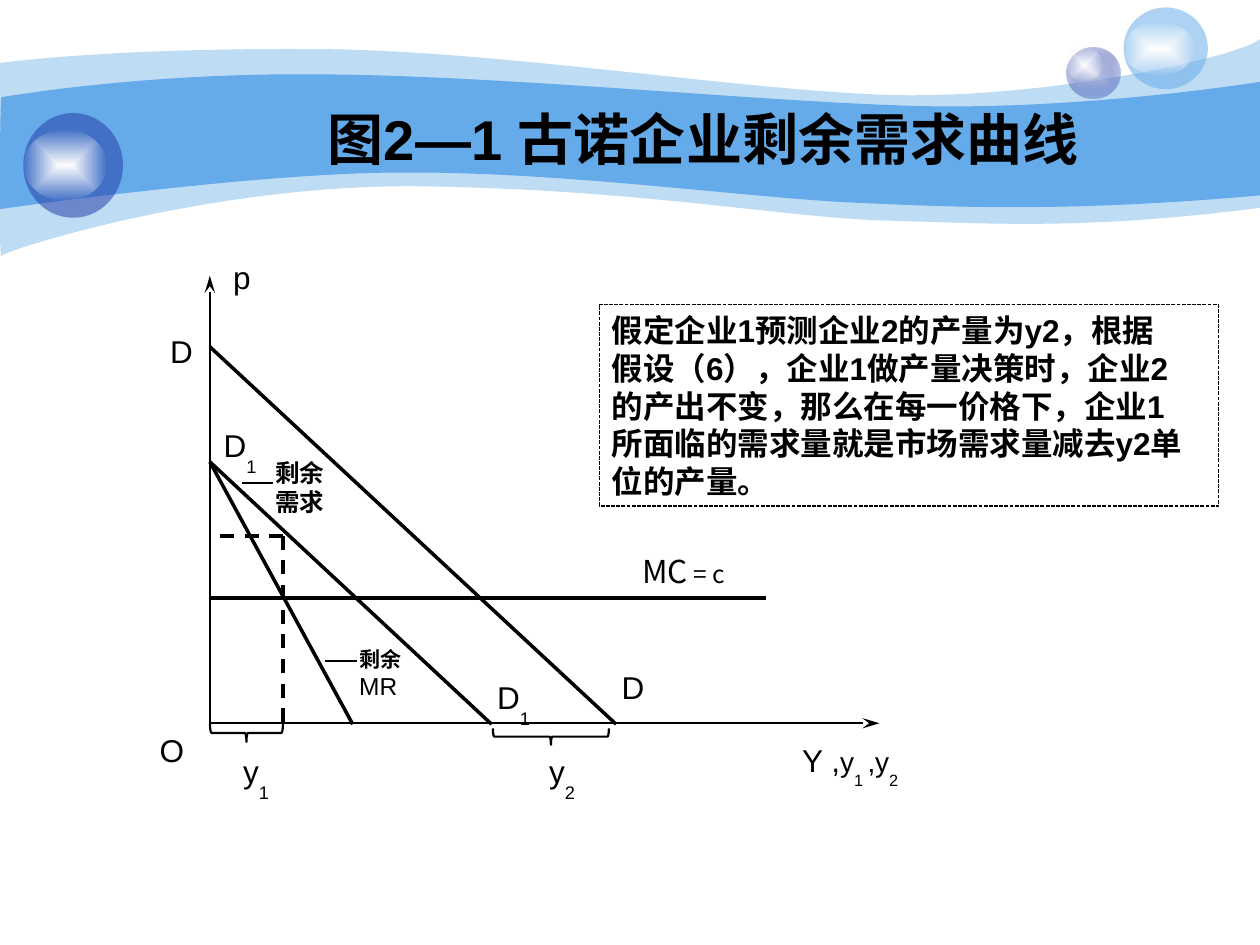
from lxml import etree
from pptx import Presentation
from pptx.dml.color import RGBColor
from pptx.enum.dml import MSO_LINE
from pptx.enum.shapes import MSO_CONNECTOR, MSO_SHAPE
from pptx.enum.text import MSO_ANCHOR, MSO_AUTO_SIZE, PP_ALIGN
from pptx.oxml import parse_xml
from pptx.oxml.ns import nsdecls, qn
from pptx.util import Cm, Pt

STRAIGHT = MSO_CONNECTOR.STRAIGHT
OVAL, RECTANGLE = MSO_SHAPE.OVAL, MSO_SHAPE.RECTANGLE
LEFT_BRACE, RIGHT_BRACE = MSO_SHAPE.LEFT_BRACE, MSO_SHAPE.RIGHT_BRACE
DASH, SYS_DASH = MSO_LINE.DASH, MSO_LINE.SQUARE_DOT
GROW, TOP, LEFT = MSO_AUTO_SIZE.SHAPE_TO_FIT_TEXT, MSO_ANCHOR.TOP, PP_ALIGN.LEFT

BLACK, WHITE, SKY, NAVY = "000000", "FFFFFF", "65AAE9", "233DA9"
LATIN, CHINESE = "Arial", "Noto Sans CJK SC"


def paint(shape, *stops):
    """Fill with one colour or a centred gradient; a stop is (hex, opacity %)."""
    colours = [f'<a:srgbClr val="{colour}"><a:alpha val="{opacity * 1000}"/></a:srgbClr>'
               for colour, opacity in stops]
    if len(colours) == 1:
        xml = f'<a:solidFill {nsdecls("a")}>{colours[0]}</a:solidFill>'
    else:
        inner = "".join(f'<a:gs pos="{place * 100000}">{colour}</a:gs>'
                        for place, colour in enumerate(colours))
        xml = (f'<a:gradFill {nsdecls("a")} rotWithShape="1"><a:gsLst>{inner}</a:gsLst>'
               '<a:path path="rect"><a:fillToRect l="50000" t="50000" r="50000" b="50000"/>'
               '</a:path></a:gradFill>')
    shape.fill.background()
    properties = shape.element.spPr
    properties.replace(properties.find(qn("a:noFill")), parse_xml(xml))
    shape.line.fill.background()
    shape.shadow.inherit = False


def write(shape, paragraphs, wrap=False, spacing=None):
    """Write paragraphs of runs; a run is (text, size, extra format)."""
    frame = shape.text_frame
    frame_format = {"word_wrap": wrap, "auto_size": GROW, "vertical_anchor": TOP,
                    "margin_left": Cm(0.25), "margin_right": Cm(0.2),
                    "margin_top": Cm(0.13), "margin_bottom": Cm(0.13)}
    for name, value in frame_format.items():
        setattr(frame, name, value)
    for index, runs in enumerate(paragraphs):
        para = frame.add_paragraph() if index else frame.paragraphs[0]
        para.alignment = LEFT
        if spacing:
            para.line_spacing = Pt(spacing)
        for text, size, extra in runs:
            span = para.add_run()
            span.text = text
            span_format = {"name": LATIN, "size": Pt(size), "bold": False} | extra
            lowered = span_format.pop("lowered", False)
            for name, value in span_format.items():
                setattr(span.font, name, value)
            span.font.color.rgb = RGBColor.from_string(BLACK)
            properties = span.font._element
            properties.find(qn("a:latin")).addnext(
                parse_xml(f'<a:ea {nsdecls("a")} typeface="{CHINESE}"/>'))
            if lowered:
                properties.set("baseline", "-50000")


deck = Presentation()
deck.slide_width, deck.slide_height = Cm(25.4), Cm(19.05)
page = deck.slides.add_slide(deck.slide_layouts[5])
shapes = page.shapes

# Waves: start point, then segments; six numbers make a Bezier curve, two a line
waves = [
    (41, (0, 1.27), [
        (0.61, 1.19, 2.72, 0.97, 6.27, 0.99), (9.8, 0.99, 14.61, 1.78, 17.75, 1.91),
        (20.88, 2.03, 24.89, 1.19, 25.4, 0.79), (25.4, 4.19),
        (21.79, 4.65, 19.99, 4.5, 17.91, 4.45), (15.8, 4.39, 13.08, 3.84, 8.71, 3.76),
        (4.37, 3.66, 0.1, 5.05, 0.03, 5.16), (-0.03, 5.28, 0, 1.91, 0, 1.27)]),
    (100, (0.03, 1.96), [
        (0.05, 1.96, 2.79, 1.47, 6.3, 1.5), (9.8, 1.5, 15.11, 2.03, 18.24, 2.13),
        (21.36, 2.24, 24.79, 1.75, 25.4, 1.65), (25.4, 3.94),
        (21.67, 4.27, 19.43, 4.19, 17.32, 4.09), (15.21, 4.01, 11.35, 3.45, 8.05, 3.48),
        (5.16, 3.48, -0.05, 4.22, -0.03, 4.22), (0, 4.22, 0, 1.96, 0.03, 1.96)]),
]
for opacity, start, segments in waves:
    builder = shapes.build_freeform(Cm(start[0]), Cm(start[1]))
    builder.add_line_segments([(Cm(x), Cm(y)) for *_, x, y in segments], close=True)
    wave = builder.convert_to_shape()
    for corner, segment in zip(list(wave.element.iter(qn("a:lnTo"))), segments):
        if len(segment) == 6:
            corner.tag = qn("a:cubicBezTo")
            corner.remove(corner[0])
            for x, y in zip(segment[::2], segment[1::2]):
                etree.SubElement(corner, qn("a:pt"), x=str(Cm(x) - wave.left),
                                 y=str(Cm(y) - wave.top))
    paint(wave, (SKY, opacity))

# Bubbles with their highlights
glow = [(WHITE, 100), (WHITE, 0)]
bubbles = [
    (21.51, 0.95, 1.08, 1.03, [("C7CEE9", 100), (NAVY, 31)]),
    (21.51, 0.95, 0.71, 0.69, glow),
    (22.65, 0.15, 1.7, 1.65, [(SKY, 53)]),
    (22.65, 0.43, 1.42, 1.09, glow),
    (0.47, 2.28, 2.01, 2.11, [(NAVY, 53)]),
    (0.47, 2.62, 1.68, 1.42, glow),
]
for left, top, width, height, stops in bubbles:
    bubble = shapes.add_shape(OVAL, Cm(left), Cm(top), Cm(width), Cm(height))
    paint(bubble, *stops)

# Title, brought in front of the waves
title = shapes.title
title.element.getparent().append(title.element)
title.left, title.top, title.width, title.height = Cm(6.36), Cm(1.98), Cm(16.18), Cm(1.6)
write(title, [[("图2—1 古诺企业剩余需求曲线", 32, {"bold": True})]], spacing=38.4)

# Axes, curves and guide lines
ORIGIN, BASE, FOOT = 4.23, 14.58, 14.6
QUANTITY, PRICE = 5.71, 10.8
lines = [
    (ORIGIN, FOOT, ORIGIN, 5.56, 1, None, True),
    (ORIGIN, BASE, 17.73, BASE, 1, None, True),
    (ORIGIN, 6.99, 12.42, FOOT, 2, None, False),
    (ORIGIN, 9.31, 9.91, FOOT, 2, None, False),
    (ORIGIN, 9.31, 7.11, FOOT, 2, None, False),
    (ORIGIN, 12.06, 15.45, 12.06, 2, None, False),
    (QUANTITY, PRICE, ORIGIN, PRICE, 2, DASH, False),
    (QUANTITY, PRICE, QUANTITY, FOOT, 2, DASH, False),
    (6.56, 13.33, 7.2, 13.33, 1, None, False),
    (4.87, 9.73, 5.5, 9.73, 1, None, False),
]
for x1, y1, x2, y2, weight, dash, arrow in lines:
    line = shapes.add_connector(STRAIGHT, Cm(x1), Cm(y1), Cm(x2), Cm(y2))
    line.line.color.rgb = RGBColor.from_string(BLACK)
    line.line.width = Pt(weight)
    if dash:
        line.line.dash_style = dash
    if arrow:
        etree.SubElement(line.line._get_or_add_ln(), qn("a:tailEnd"),
                         type="stealth", w="med", len="lg")
    etree.SubElement(line.element.spPr, qn("a:effectLst"))

# Braces under the quantity axis
braces = [
    (LEFT_BRACE, 4.79, 14.04, 0.36, 1.47, 270),
    (RIGHT_BRACE, 10.94, 13.68, 0.33, 2.34, 90),
]
for kind, left, top, width, height, turn in braces:
    brace = shapes.add_shape(kind, Cm(left), Cm(top), Cm(width), Cm(height))
    brace.rotation = turn
    brace.fill.background()
    brace.line.color.rgb = RGBColor.from_string(BLACK)
    brace.line.width = Pt(1.25)
    brace.shadow.inherit = False

# Labels: left, top, width, height, wrap, line spacing, runs
sub = {"lowered": True}
noto = {"name": CHINESE}
strong = noto | {"bold": True}
labels = [
    (4.45, 5.08, 0.86, 1.02, False, None, [("p", 18, {})]),
    (2.97, 14.61, 1.02, 1.02, False, None, [("O", 18, {})]),
    (12.28, 13.34, 0.97, 1.02, False, None, [("D", 18, {})]),
    (3.18, 6.56, 0.97, 1.02, False, None, [("D", 18, {})]),
    (9.77, 13.54, 1.17, 1.27, False, None, [("D", 18, {}), ("1", 18, sub)]),
    (4.26, 8.46, 1.17, 1.27, False, None, [("D", 18, {}), ("1", 18, sub)]),
    (4.65, 15.04, 1.04, 1.27, False, None, [("y", 18, {}), ("1", 18, sub)]),
    (10.82, 15.04, 1.04, 1.27, False, None, [("y", 18, {}), ("2", 18, sub)]),
    (15.92, 14.81, 2.46, 1.24, False, None,
     [("Y ,", 18, {}), ("y", 16, {}), ("1 ", 16, sub), (",y", 16, {}), ("2", 16, sub)]),
    (6.99, 12.82, 1.7, 1.35, True, 16.6, [("剩余", 12, strong), ("MR", 14, {})]),
    (5.3, 9.1, 1.7, 1.45, True, 16.8, [("剩余需求", 14, strong)]),
    (12.7, 11, 2.74, 1.02, True, 21.6, [("MC", 18, noto), (" = c", 14, noto)]),
]
for left, top, width, height, wrap, spacing, runs in labels:
    label = shapes.add_textbox(Cm(left), Cm(top), Cm(width), Cm(height))
    write(label, [runs], wrap, spacing)

# Explanation box
rows = [
    "假定企业1预测企业2的产量为y2，根据",
    "假设（6），企业1做产量决策时，企业2",
    "的产出不变，那么在每一价格下，企业1",
    "所面临的需求量就是市场需求量减去y2单",
    "位的产量。",
]
box = shapes.add_shape(RECTANGLE, Cm(12.08), Cm(6.14), Cm(12.49), Cm(4.06))
box.fill.background()
box.line.color.rgb = RGBColor.from_string(BLACK)
box.line.width = Pt(0.75)
box.line.dash_style = SYS_DASH
box.shadow.inherit = False
write(box, [[(row, 18, {"bold": True})] for row in rows], spacing=21.6)

deck.save("out.pptx")
